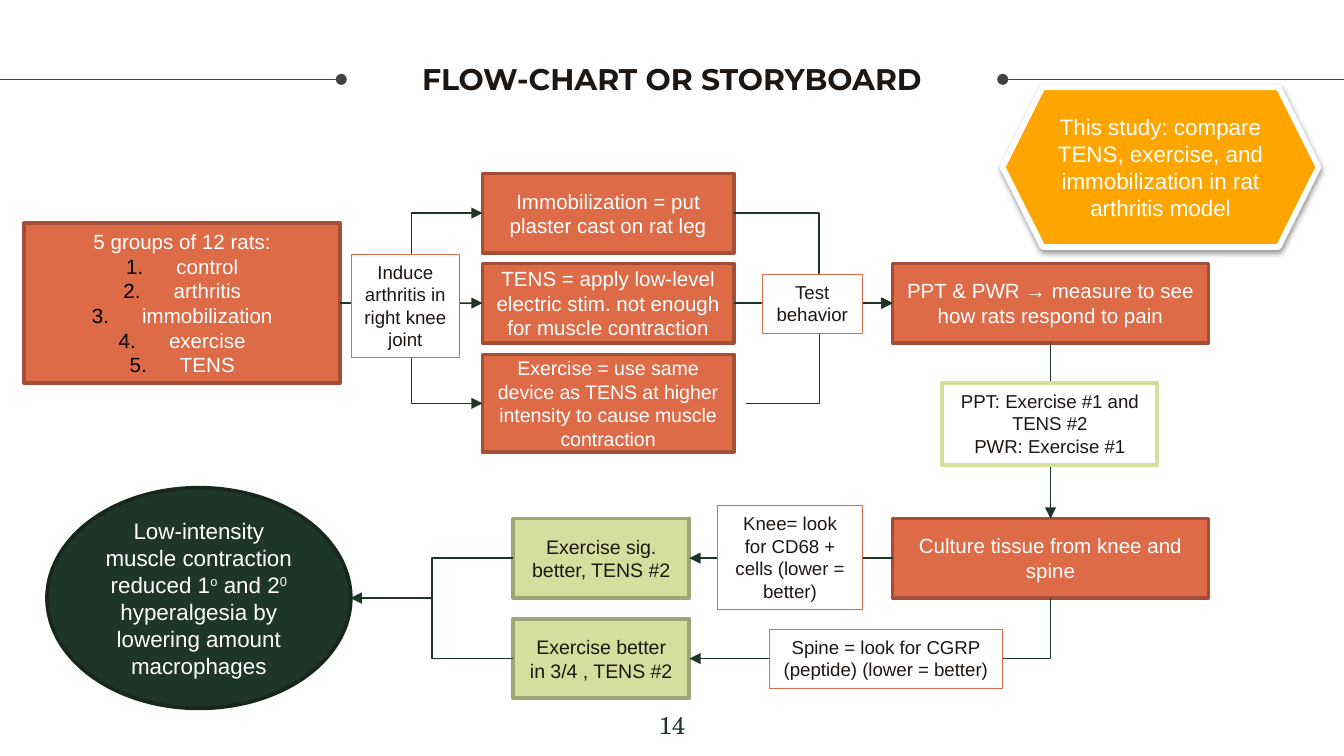
from collections import namedtuple

from pptx import Presentation
from pptx.dml.color import RGBColor
from pptx.enum.shapes import MSO_CONNECTOR as Wire, MSO_SHAPE as Form
from pptx.enum.text import MSO_ANCHOR as Anchor, PP_ALIGN as Align
from pptx.oxml.ns import qn
from pptx.oxml.xmlchemy import OxmlElement
from pptx.util import Cm, Pt

COLORS = {
    "white": "FFFFFF", "black": "000000", "ink": "1D1714", "rule": "434343",
    "wire": "1D3527", "amber": "FFA500", "coral": "DE6B48", "rust": "A44F35",
    "lime": "D4DF9E", "olive": "9DA575", "forest": "1E3628", "pine": "16281E",
}
TOP, LEFT, BOTTOM, RIGHT = range(4)
STEP_WIDTH, STEP_HEIGHT = 5.97, 1.5


class Box(namedtuple("Box", "left top width height")):
    def inside(self, dx, dy, width, height):
        return Box(self.left + dx, self.top + dy, width, height)

    def lengths(self):
        return [Cm(value) for value in self]


def rgb(name):
    return RGBColor.from_string(COLORS[name])


def add_xml(parent, tag, **attributes):
    child = OxmlElement(tag)
    for key, value in attributes.items():
        child.set(key, str(value))
    parent.append(child)
    return child


def style_text(frame, size, color, font="Arial", bold=False):
    for paragraph in frame.paragraphs:
        paragraph.alignment = Align.CENTER
        for run in paragraph.runs:
            run.font.name = font
            run.font.size = Pt(size)
            run.font.bold = bold
            run.font.color.rgb = rgb(color)


def paint(shape, fill, line, weight):
    shape.fill.solid()
    shape.fill.fore_color.rgb = rgb(fill)
    shape.line.color.rgb = rgb(line)
    shape.line.width = Pt(weight)


def add_step(slide, box, text, fill="coral", line="rust", color="white",
             size=11, form=Form.RECTANGLE, weight=2):
    step = slide.shapes.add_shape(form, *box.lengths())
    step.shadow.inherit = False
    paint(step, fill, line, weight)
    step.text_frame.word_wrap = True
    step.text_frame.vertical_anchor = Anchor.MIDDLE
    step.text_frame.text = text
    style_text(step.text_frame, size, color)
    return step


def add_label(slide, box, text, line="coral", weight=0.25):
    label = slide.shapes.add_textbox(*box.lengths())
    paint(label, "white", line, weight)
    label.text_frame.word_wrap = True
    label.text_frame.text = text
    style_text(label.text_frame, 10, "ink")


def add_caption(slide, box, text, anchor, **style):
    caption = slide.shapes.add_textbox(*box.lengths())
    frame = caption.text_frame
    frame.word_wrap = True
    frame.vertical_anchor = anchor
    frame.margin_top = frame.margin_bottom = Cm(0.25)
    frame.text = text
    style_text(frame, **style)


def side(shape, site):
    middle_x = shape.left + shape.width // 2
    middle_y = shape.top + shape.height // 2
    return ((middle_x, shape.top), (shape.left, middle_y),
            (middle_x, shape.top + shape.height),
            (shape.left + shape.width, middle_y))[site]


def add_wire(slide, start, end, kind=Wire.ELBOW, color="wire",
             ending="a:tailEnd", tip="triangle"):
    wire = slide.shapes.add_connector(kind, *start, *end)
    wire.line.color.rgb = rgb(color)
    wire.line.width = Pt(0.75)
    add_xml(wire.line._get_or_add_ln(), ending, type=tip)
    add_xml(wire._element.spPr, "a:effectLst")
    return wire


def join(slide, source, source_site, target, target_site):
    wire = add_wire(slide, side(source, source_site),
                    side(target, target_site), Wire.STRAIGHT)
    wire.begin_connect(source, source_site)
    wire.end_connect(target, target_site)


def turn_corner(wire):
    shift = (wire.width - wire.height) // 2
    wire.left, wire.top = wire.left + shift, wire.top - shift
    wire.width, wire.height = wire.height, wire.width
    properties = wire._element.spPr
    transform = properties.find(qn("a:xfrm"))
    transform.attrib.pop("flipH", None)
    transform.set("rot", "5400000")
    properties.find(qn("a:prstGeom")).set("prst", "bentConnector2")


def number_groups(paragraphs):
    for paragraph in paragraphs:
        properties = paragraph._p.get_or_add_pPr()
        properties.set("marL", str(Cm(0.95)))
        properties.set("indent", str(-Cm(0.95)))
        add_xml(add_xml(properties, "a:buClr"), "a:srgbClr", val=COLORS["black"])
        add_xml(properties, "a:buAutoNum", type="arabicPeriod")


def draw_heading(slide, box):
    margin = 6.45
    middle = Cm(box.top + 1.2)
    inner_right = box.left + box.width - margin
    for inner, outer in ((box.left + margin, box.left),
                         (inner_right, box.left + box.width)):
        add_wire(slide, (Cm(inner), middle), (Cm(outer), middle),
                 Wire.STRAIGHT, "rule", "a:headEnd", "oval")
    add_caption(slide, box.inside(margin, 0, box.width - 2 * margin, box.height),
                "FLOW-CHART OR STORYBOARD", Anchor.MIDDLE,
                size=16, color="ink", font="Montserrat", bold=True)


def draw_aim(slide, box):
    aim = add_step(slide, box, "This study: compare TENS, exercise, and "
                   "immobilization in rat arthritis model",
                   "amber", "white", size=12, form=Form.HEXAGON, weight=3)
    effects = aim._element.spPr.find(qn("a:effectLst"))
    shadow = add_xml(effects, "a:outerShdw", blurRad=Pt(3.1), dist=Pt(1.6),
                     dir=5400000, algn="t", rotWithShape=0)
    shade = add_xml(shadow, "a:srgbClr", val=COLORS["black"])
    add_xml(shade, "a:alpha", val=38000)


def draw_experiment(slide, box):
    groups = add_step(slide, box.inside(0, 0.94, STEP_WIDTH, 3.02),
                      "5 groups of 12 rats:\ncontrol\narthritis\n"
                      "immobilization\nexercise\nTENS")
    number_groups(groups.text_frame.paragraphs[1:])
    pain = add_step(slide, box.inside(box.width - STEP_WIDTH, 1.7,
                                      STEP_WIDTH, STEP_HEIGHT),
                    "PPT & PWR → measure to see how rats respond to pain")
    immobilization, tens, exercise = [
        add_step(slide, box.inside(8.66, dy, 4.75, height), text, size=size)
        for dy, height, size, text in (
            (0, STEP_HEIGHT, 11, "Immobilization = put plaster cast on rat leg"),
            (1.7, STEP_HEIGHT, 11, "TENS = apply low-level electric stim. "
             "not enough for muscle contraction"),
            (3.42, 1.85, 10.5, "Exercise = use same device as TENS at higher "
             "intensity to cause muscle contraction"))]
    join(slide, groups, RIGHT, tens, LEFT)
    for treatment in (immobilization, exercise):
        add_wire(slide, side(groups, RIGHT), side(treatment, LEFT))
    join(slide, tens, RIGHT, pain, LEFT)
    upper = add_wire(slide, side(immobilization, RIGHT), side(pain, LEFT))
    guides = upper._element.spPr.find(qn("a:prstGeom")).get_or_add_avLst()
    add_xml(guides, "a:gd", name="adj1", fmla="val 53600")
    x, y = side(exercise, RIGHT)
    add_wire(slide, (x + Cm(0.23), y), side(pain, LEFT))
    add_label(slide, box.inside(6.17, 1.52, 2.06, 1.96),
              "Induce arthritis in right knee joint")
    add_label(slide, box.inside(13.94, 1.9, 1.9, 1.12), "Test behavior")
    return pain


def draw_analysis(slide, box):
    culture = add_step(slide, box.inside(box.width - STEP_WIDTH, 0.58,
                                         STEP_WIDTH, STEP_HEIGHT),
                       "Culture tissue from knee and spine")
    knee, spine = [
        add_step(slide, box.inside(8.81, dy, 3.33, STEP_HEIGHT), text,
                 "lime", "olive", "ink", 10.5)
        for dy, text in ((0.58, "Exercise sig. better, TENS #2"),
                         (2.48, "Exercise better in 3/4 , TENS #2"))]
    join(slide, culture, LEFT, knee, RIGHT)
    turn_corner(add_wire(slide, side(culture, BOTTOM), side(spine, RIGHT)))
    add_label(slide, box.inside(12.67, 0.34, 2.74, 1.96),
              "Knee= look for CD68 + cells (lower = better)")
    add_label(slide, box.inside(13.64, 2.67, 4.42, 1.12),
              "Spine = look for CGRP (peptide) (lower = better)")

    conclusion = add_step(slide, box.inside(0, 0, 5.74, box.height), "",
                          "forest", "pine", form=Form.OVAL)
    paragraph = conclusion.text_frame.paragraphs[0]
    for text, raised in (("Low-intensity muscle contraction reduced 1", False),
                         ("o", True), (" and 2", False), ("0", True),
                         (" hyperalgesia by lowering amount macrophages", False)):
        run = paragraph.add_run()
        run.text = text
        if raised:
            run.font._element.set("baseline", "30000")
    style_text(conclusion.text_frame, 12, "white")
    for finding in (knee, spine):
        add_wire(slide, side(finding, LEFT), side(conclusion, RIGHT))
    return culture


def draw_pain_result(slide, box, pain, culture):
    join(slide, pain, BOTTOM, culture, TOP)
    add_label(slide, box, "PPT: Exercise #1 and TENS #2\nPWR: Exercise #1",
              "lime", 2)


def main():
    deck = Presentation()
    deck.slide_width, deck.slide_height = Cm(25.4), Cm(14.29)
    slide = deck.slides.add_slide(deck.slide_layouts[6])
    draw_heading(slide, Box(0, 0.3, 25.4, 2.39))
    add_caption(slide, Box(11.94, 13.18, 1.52, 1.09), "14", Anchor.TOP,
                size=13, color="forest", font="TeX Gyre Schola")
    draw_aim(slide, Box(18.95, 1.65, STEP_WIDTH, 3.02))
    pain = draw_experiment(slide, Box(0.46, 3.28, 22.38, 5.27))
    culture = draw_analysis(slide, Box(0.89, 9.22, 21.95, 4.17))
    draw_pain_result(slide, Box(17.81, 7.24, 4.06, 1.55), pain, culture)
    deck.save("out.pptx")


if __name__ == "__main__":
    main()
